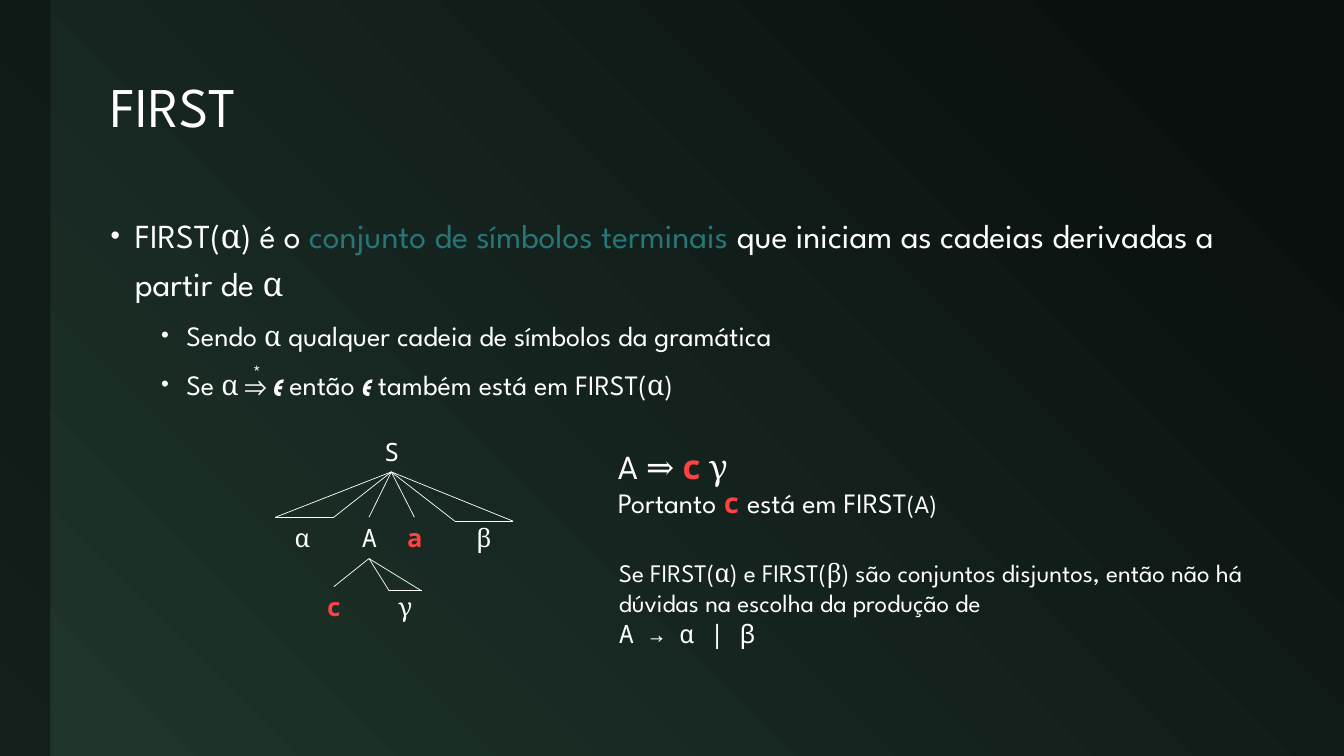
from collections import namedtuple

from lxml import etree
from pptx import Presentation
from pptx import util as u
from pptx.dml.color import RGBColor
from pptx.enum import shapes, text
from pptx.oxml.ns import qn

WHITE = RGBColor(0xFF, 0xFF, 0xFF)
TEAL = RGBColor(0x26, 0x75, 0x77)
RED = RGBColor(0xFF, 0x43, 0x43)
DARK = RGBColor(0x0A, 0x10, 0x0E)
GREEN = RGBColor(0x20, 0x36, 0x2D)
SANS, GREEK, MONO = "League Spartan", "Cambria", "Noto Sans Mono"

Box = namedtuple("Box", "left top width height")
SLIDE = Box(0, 0, u.Inches(13.33), u.Inches(7.5))


def part(box, left, top, width, height):
    """Return the part of a box given in percent of its sides."""
    return Box(int(box.left + box.width * left / 100),
               int(box.top + box.height * top / 100),
               int(box.width * width / 100), int(box.height * height / 100))


def add_runs(p, size, *pieces):
    """Fill a paragraph with (text, font, colour, size) pieces; later items are optional."""
    for piece in pieces:
        if piece == "\n":
            p.add_line_break()
            continue
        words, font, colour, own_size = (piece + (None,) * 3)[:4]
        r = p.add_run()
        r.text = words
        r.font.name = font or SANS
        r.font.size = u.Pt(own_size or size)
        r.font.color.rgb = colour or WHITE
        r.font.bold = colour == RED


def add_text(s, box, size, *pieces, wrap=True):
    """Add a text box and return its text frame."""
    tf = s.shapes.add_textbox(*box).text_frame
    tf.word_wrap = wrap
    add_runs(tf.paragraphs[0], size, *pieces)
    return tf


def add_bullet(p, margin, indent, before):
    """Give a paragraph its bullet, hanging indent and spacing."""
    p.line_spacing = 1.2
    p.space_before = u.Pt(before)
    pPr = p._p.get_or_add_pPr()
    pPr.set("marL", str(u.Inches(margin)))
    pPr.set("indent", str(-u.Inches(indent)))
    for tag, key, value in (("a:buSzPct", "val", "80000"),
                            ("a:buFont", "typeface", "Arial"),
                            ("a:buChar", "char", "•")):
        etree.SubElement(pPr, qn(tag)).set(key, value)


def add_background(s, box):
    """Draw the diagonal gradient and the translucent bar at the left."""
    fill = s.background.fill
    fill.gradient()
    fill.gradient_angle = 225
    for stop, position, colour in zip(fill.gradient_stops, (0.1, 1), (DARK, GREEN)):
        stop.position = position
        stop.color.rgb = colour
    bar = s.shapes.add_shape(shapes.MSO_SHAPE.RECTANGLE, *part(box, 0, 0, 3.75, 100))
    bar.shadow.inherit = False
    bar.line.fill.background()
    bar.fill.solid()
    bar.fill.fore_color.rgb = DARK
    colour = bar._element.spPr.find(".//" + qn("a:srgbClr"))
    etree.SubElement(colour, qn("a:alpha")).set("val", "60000")


def add_title(s, box):
    """Write the title in the middle of its box."""
    tf = add_text(s, box, 40, ("FIRST",))
    tf.vertical_anchor = text.MSO_ANCHOR.MIDDLE
    tf.paragraphs[0].line_spacing = 0.9


def add_definition(s, box):
    """Write the definition with its two sub-points."""
    alpha, epsilon = ("α", GREEK), ("𝝐", GREEK)
    tf = add_text(s, box, 24, ("FIRST(",), alpha, (") é o ",),
                  ("conjunto de símbolos terminais ", SANS, TEAL),
                  ("que iniciam as cadeias derivadas a partir de ",), alpha)
    add_bullet(tf.paragraphs[0], 0.24, 0.24, 18)
    for pieces in (
            [("Sendo ",), alpha, (" qualquer cadeia de símbolos da gramática",)],
            [("Se ",), ("α ⇒ 𝝐", GREEK), (" então ",), epsilon,
             (" também está em FIRST(",), alpha, (")",)]):
        p = tf.add_paragraph()
        p.level = 1
        add_runs(p, 20, *pieces)
        add_bullet(p, 0.75, 0.25, 6)


def add_tree(s, box):
    """Draw the derivation tree: edges by point, then labels by centre."""
    root, inner = (48.8, 20.7), (39.4, 65)
    alpha_base = [(0, 43.9), (24.6, 43.9)]
    beta_base = [(75.5, 45.9), (100, 45.9)]
    gamma_base = [(47.9, 81.5), (61.5, 81.5)]
    edges = [(root, leaf) for leaf in
             alpha_base + [(39.4, 43.9), (58.5, 43.9)] + beta_base]
    edges += [(inner, leaf) for leaf in [(24.6, 79.4)] + gamma_base]
    edges += [alpha_base, beta_base, gamma_base]
    for start, end in edges:
        a, b = part(box, *start, 0, 0), part(box, *end, 0, 0)
        line = s.shapes.add_connector(shapes.MSO_CONNECTOR.STRAIGHT,
                                      a.left, a.top, b.left, b.top)
        line.line.color.rgb = WHITE
        line.line.width = u.Pt(0.5)
        etree.SubElement(line._element.spPr, qn("a:effectLst"))

    width, height = 14.4, 20.6
    for label, x, y, font, colour in (
            ("S", 48.8, 0, MONO, WHITE), ("α", 11.2, 43.9, GREEK, WHITE),
            ("A", 39.4, 43.9, MONO, WHITE), ("a", 58.5, 43.9, MONO, RED),
            ("β", 87.5, 43.9, GREEK, WHITE), ("c", 24.6, 79.4, MONO, RED),
            ("γ", 54.7, 79.4, GREEK, WHITE)):
        tf = add_text(s, part(box, x - width / 2, y, width, height), 18,
                      (label, font, colour), wrap=False)
        tf.paragraphs[0].alignment = text.PP_ALIGN.CENTER


def add_conclusion(s, box):
    """Write the derivation and what follows from it."""
    c = ("c", MONO, RED)
    add_text(s, box, 20, ("A ", SANS, WHITE, 24), ("⇒ ", GREEK, WHITE, 24),
             c + (24,), (" ",), ("γ", GREEK, WHITE, 24), "\n",
             ("Portanto ",), c, (" está em FIRST",), ("(A)", SANS, WHITE, 18))


def add_choice_note(s, box):
    """Write the note on choosing a production."""
    add_text(s, box, 18, ("Se FIRST(",), ("α", GREEK), (") e FIRST(",), ("β", GREEK),
             (") são conjuntos disjuntos, então não há dúvidas na escolha da produção de ",),
             "\n", ("A → α | β", MONO))


prs = Presentation()
prs.slide_width, prs.slide_height = SLIDE.width, SLIDE.height
s = prs.slides.add_slide(prs.slide_layouts[6])
add_background(s, SLIDE)
add_title(s, part(SLIDE, 7.5, 5.6, 87.4, 17.73))
add_definition(s, part(SLIDE, 7.5, 26.67, 87.4, 64.4))
add_text(s, part(SLIDE, 18.08, 46.93, 2.4, 4.53), 14, ("*",))
add_tree(s, part(SLIDE, 20.48, 57.07, 17.7, 25.87))
add_conclusion(s, part(SLIDE, 45.24, 58.27, 29.56, 11.2))
add_choice_note(s, part(SLIDE, 45.31, 73.07, 49.96, 13.47))
prs.save("out.pptx")
